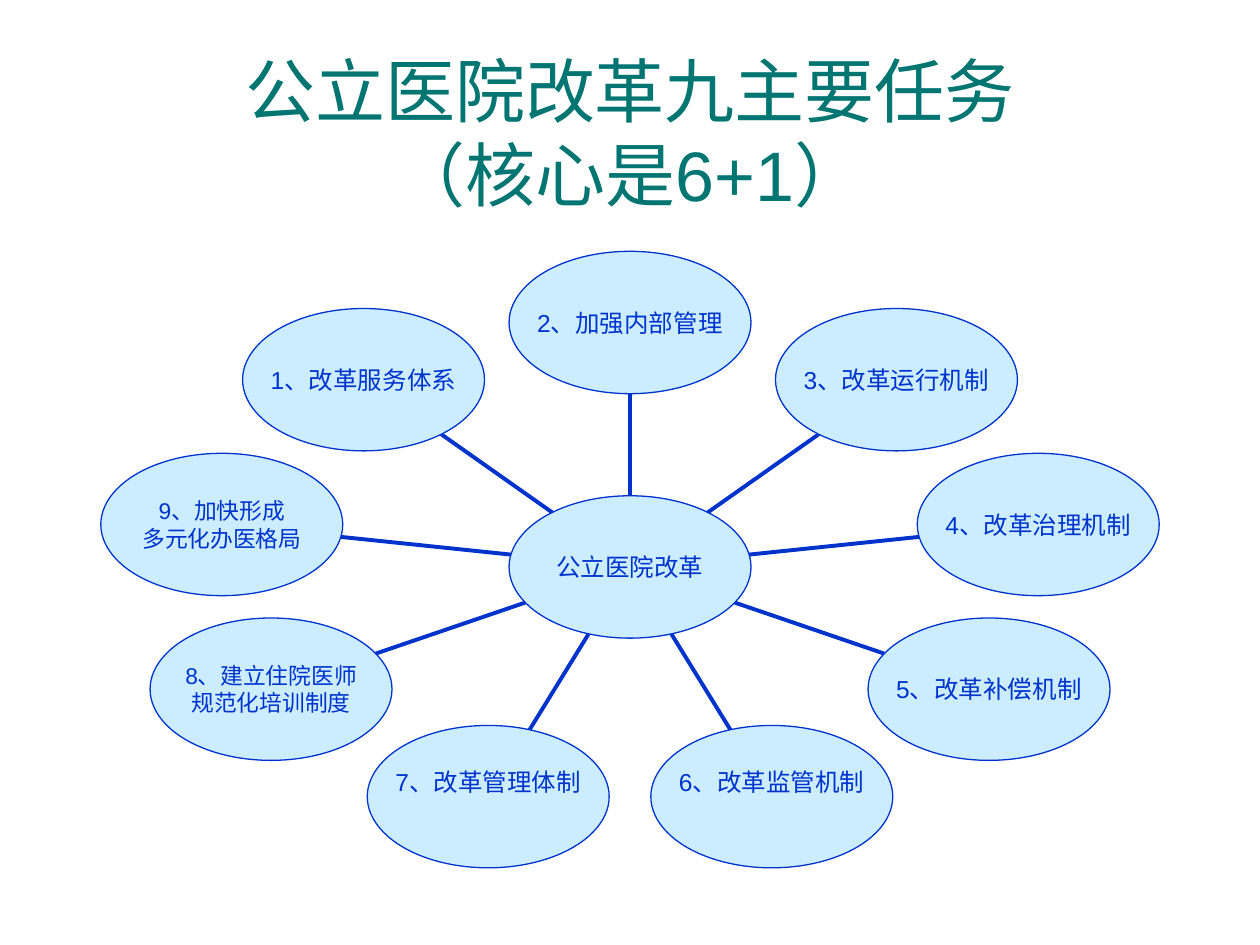
from dataclasses import dataclass
from math import cos, radians, sin
from typing import Any

from pptx import Presentation
from pptx.dml.color import RGBColor
from pptx.enum.shapes import MSO_CONNECTOR as Connector
from pptx.enum.shapes import MSO_SHAPE as Shape
from pptx.enum.text import MSO_ANCHOR as Anchor
from pptx.enum.text import PP_ALIGN as Align
from pptx.oxml.ns import qn
from pptx.util import Inches, Pt

BLUE, PALE_BLUE, TEAL = "0033CC", "CCECFF", "007572"
CENTRE_X, CENTRE_Y = 5.0, 4.5
RING_X, RING_Y = 3.29, 1.94
OVAL_WIDTH, OVAL_HEIGHT = 1.92, 1.13


@dataclass
class Task:
    text: str
    size: int = 14
    bottom_inset: float = 0


# Clockwise from the top of the ring
TASKS = [
    Task("2、加强内部管理"),
    Task("3、改革运行机制"),
    Task("4、改革治理机制"),
    Task("5、改革补偿机制"),
    Task("6、改革监管机制", bottom_inset=0.24),
    Task("7、改革管理体制", bottom_inset=0.24),
    Task("8、建立住院医师\n规范化培训制度", size=13),
    Task("9、加快形成\n多元化办医格局", size=13),
    Task("1、改革服务体系"),
]


def color(value: str) -> RGBColor:
    return RGBColor.from_string(value)


def set_attributes(target: Any, values: dict[str, Any]) -> None:
    for name, value in values.items():
        setattr(target, name, value)


def format_text(frame: Any, size: int, hex_color: str) -> None:
    for para in frame.paragraphs:
        para.alignment = Align.CENTER
        set_attributes(para.font, {"name": "Arial", "size": Pt(size)})
        para.font.color.rgb = color(hex_color)


def add_oval(page: Any, x: float, y: float, task: Task) -> None:
    oval = page.shapes.add_shape(
        Shape.OVAL, Inches(x - OVAL_WIDTH / 2), Inches(y - OVAL_HEIGHT / 2),
        Inches(OVAL_WIDTH), Inches(OVAL_HEIGHT))
    oval.shadow.inherit = False
    oval.fill.solid()
    oval.fill.fore_color.rgb = color(PALE_BLUE)
    oval.line.color.rgb = color(BLUE)
    oval.line.width = Pt(0.75)
    frame = oval.text_frame
    set_attributes(frame, {
        "text": task.text, "word_wrap": False, "vertical_anchor": Anchor.MIDDLE,
        "margin_left": 0, "margin_right": 0, "margin_top": 0,
        "margin_bottom": Inches(task.bottom_inset),
    })
    format_text(frame, task.size, BLUE)


def add_spoke(page: Any, x: float, y: float, angle: float) -> None:
    """Join the edge of the central oval to the edge of the oval at x, y."""
    edge_x = OVAL_WIDTH / 2 * sin(angle)
    edge_y = -OVAL_HEIGHT / 2 * cos(angle)
    spoke = page.shapes.add_connector(
        Connector.STRAIGHT,
        Inches(CENTRE_X + edge_x), Inches(CENTRE_Y + edge_y),
        Inches(x - edge_x), Inches(y - edge_y))
    spoke.line.color.rgb = color(BLUE)
    spoke.line.width = Pt(2.25)
    properties = spoke._element.spPr
    properties.append(properties.makeelement(qn("a:effectLst"), {}))


def main() -> None:
    deck = Presentation()
    set_attributes(deck, {"slide_width": Inches(10), "slide_height": Inches(7.5)})
    page = deck.slides.add_slide(deck.slide_layouts[5])

    # Title
    title = page.shapes.title
    set_attributes(title, {
        "left": Inches(0.33), "top": Inches(0.42),
        "width": Inches(9.34), "height": Inches(1.25),
    })
    title.text_frame.text = "公立医院改革九主要任务\v（核心是6+1）"
    title.text_frame.vertical_anchor = Anchor.MIDDLE
    format_text(title.text_frame, 40, TEAL)

    # Ring of tasks, evenly spaced around the centre
    for index, task in enumerate(TASKS):
        angle = radians(index * 360 / len(TASKS))
        x = CENTRE_X + RING_X * sin(angle)
        y = CENTRE_Y - RING_Y * cos(angle)
        add_spoke(page, x, y, angle)
        add_oval(page, x, y, task)

    # Central topic
    add_oval(page, CENTRE_X, CENTRE_Y, Task("公立医院改革"))

    deck.save("out.pptx")


if __name__ == "__main__":
    main()
